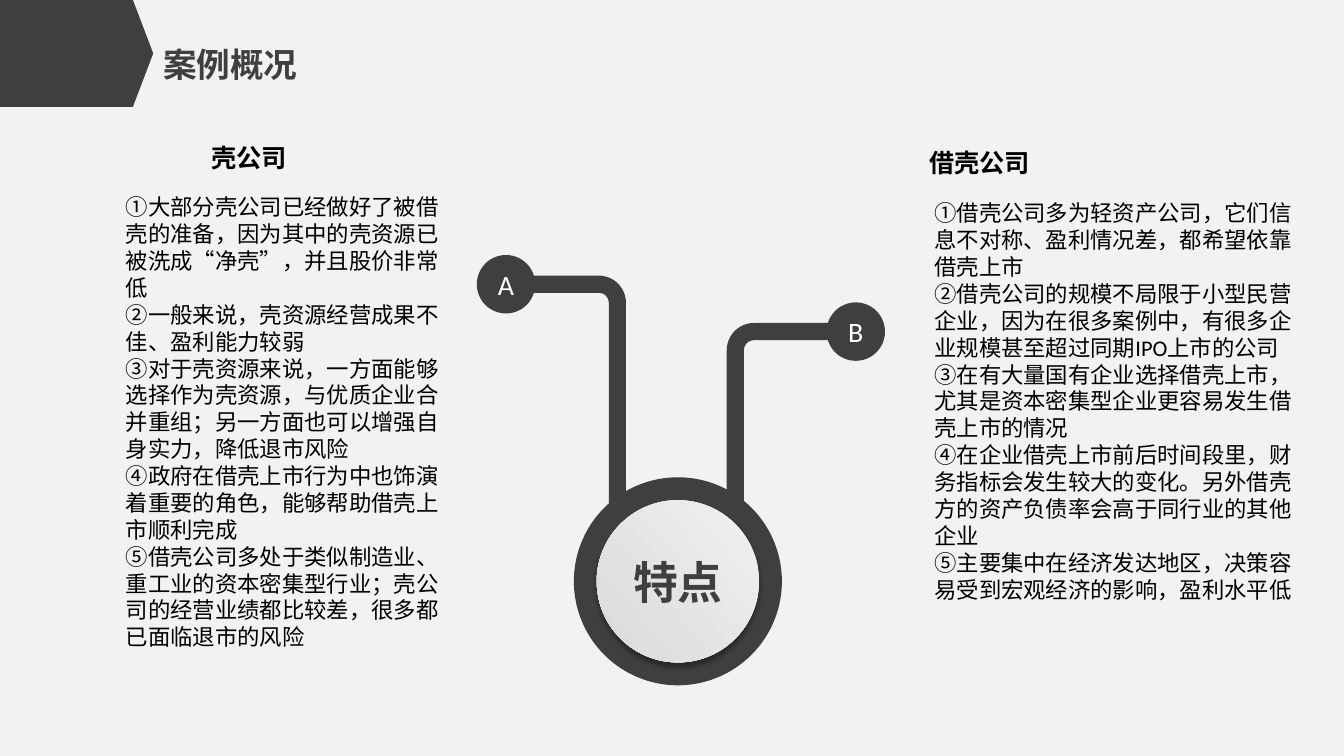
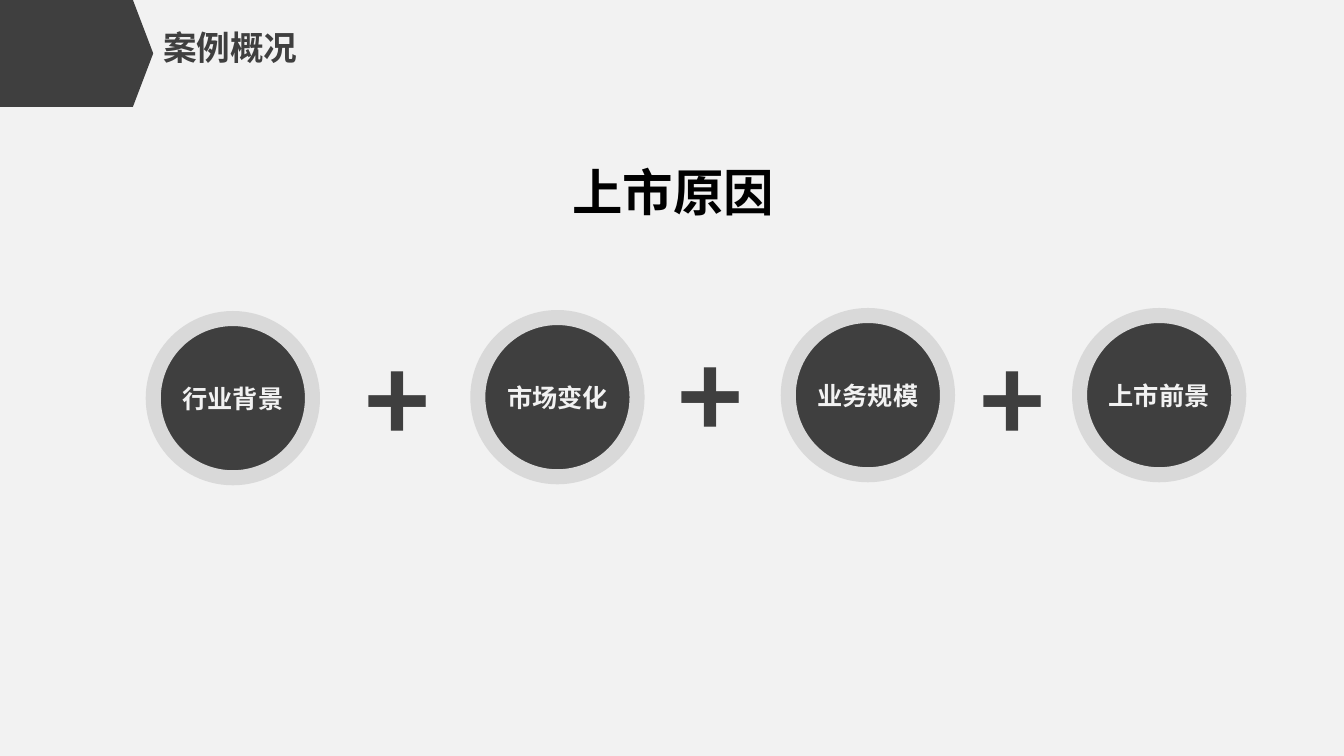
import math
import lxml.etree
import pptx
import pptx.dml.color
import pptx.enum.dml
import pptx.enum.shapes
import pptx.enum.text
import pptx.oxml.ns
import pptx.util

FORM = pptx.enum.shapes.MSO_SHAPE
ALIGN = pptx.enum.text.PP_ALIGN
ANCHOR = pptx.enum.text.MSO_ANCHOR
COLS, ROWS, CELL = 160, 90, 76200

THEME = {
    "dark": "3F3F3F", "back": "F2F2F2", "ring": "D9D9D9",
    "ink": "000000", "white": "FFFFFF",
    "head": "Arial Narrow", "body": "Calibri", "cjk": "Noto Sans CJK SC",
}
STYLES = {
    "title": ("head", 24, True, "dark"),
    "hub": ("head", 32, True, "dark"),
    "node": ("body", 20, False, "white"),
    "name": ("cjk", 18, True, "ink"),
    "body": ("body", 16, False, "ink"),
    "topic": ("body", 36, True, "ink"),
    "cause": ("cjk", 18, True, "back"),
    "plus": ("cjk", 80, True, "dark"),
}
LEAD = 19.2

TITLE = "案例概况"
FIRMS = [
    ("壳公司", (24, 16.32, 11.52, 4.8), (15, 23.04, 39.24, 54.4), [
        "①大部分壳公司已经做好了被借壳的准备，因为其中的壳资源已被洗成“净壳”，并且股价非常低",
        "②一般来说，壳资源经营成果不佳、盈利能力较弱",
        "③对于壳资源来说，一方面能够选择作为壳资源，与优质企业合并重组；另一方面也可以增强自身实力，降低退市风险",
        "④政府在借壳上市行为中也饰演着重要的角色，能够帮助借壳上市顺利完成",
        "⑤借壳公司多处于类似制造业、重工业的资本密集型行业；壳公司的经营业绩都比较差，很多都已面临退市的风险",
    ]),
    ("借壳公司", (109.44, 16.92, 14.52, 4.8), (111.24, 23.76, 44.16, 48), [
        "①借壳公司多为轻资产公司，它们信息不对称、盈利情况差，都希望依靠借壳上市",
        "②借壳公司的规模不局限于小型民营企业，因为在很多案例中，有很多企业规模甚至超过同期IPO上市的公司",
        "③在有大量国有企业选择借壳上市，尤其是资本密集型企业更容易发生借壳上市的情况",
        "④在企业借壳上市前后时间段里，财务指标会发生较大的变化。另外借壳方的资产负债率会高于同行业的其他企业",
        "⑤主要集中在经济发达地区，决策容易受到宏观经济的影响，盈利水平低",
    ]),
]
HUB = ("特点", 80.7, 69.2, 24.6, 19.32)
NODES = [("A", 60.24, 33.84, 74.52), ("B", 101.88, 39.48, 86.52)]
NODE, PIPE, BEND, FOOT = 6.96, 2.05, 3.24, 61.5
TOPIC = "上市原因"
CAUSES = [("行业背景", 27.72, 47.4), ("市场变化", 66.36, 47.28),
          ("业务规模", 103.32, 47.04), ("上市前景", 138, 47.04)]
SIGNS = [(47.28, 47.4), (84.6, 47.04), (120.6, 47.4)]
DISC, RIM = 18.96, 10.75


def rgb(key):
    return pptx.dml.color.RGBColor.from_string(THEME[key])


def emu(*cells):
    return [round(c * CELL) for c in cells]


def apply(item, vals):
    for key, val in vals.items():
        setattr(item, key, val)


def write(shape, lines, style, mid=True, pad=0, wrap=True, lead=None):
    face, size, bold, tone = STYLES[style]
    frame = shape.text_frame
    edge = pptx.util.Inches(pad)
    apply(frame, {
        "word_wrap": wrap,
        "vertical_anchor": ANCHOR.TOP if lead else ANCHOR.MIDDLE,
        "margin_left": edge, "margin_right": edge,
        "margin_top": edge // 2, "margin_bottom": edge // 2,
    })
    frame.text = "\n".join(lines)
    for para in frame.paragraphs:
        para.alignment = ALIGN.CENTER if mid else ALIGN.LEFT
        if lead:
            para.line_spacing = pptx.util.Pt(lead)
        for run in para.runs:
            apply(run.font, {"name": THEME[face], "bold": bold,
                             "size": pptx.util.Pt(size)})
            run.font.color.rgb = rgb(tone)
            east = lxml.etree.SubElement(
                run.font._element, pptx.oxml.ns.qn("a:ea"))
            east.set("typeface", THEME["cjk"])


def label(slide, box, lines, style, **opts):
    write(slide.shapes.add_textbox(*emu(*box)), lines, style, **opts)


def paint(shape, fill="dark", line=None, width=1):
    shape.shadow.inherit = False
    shape.fill.solid()
    shape.fill.fore_color.rgb = rgb(fill)
    if line:
        shape.line.color.rgb = rgb(line)
        shape.line.width = pptx.util.Pt(width)
    else:
        shape.line.fill.background()
    return shape


def disc(slide, x, y, size, **opts):
    box = emu(x - size / 2, y - size / 2, size, size)
    return paint(slide.shapes.add_shape(FORM.OVAL, *box), **opts)


def pipe(slide, start, y, turn):
    side = math.copysign(1, turn - start)
    top = y - PIPE / 2

    def arc(rad, steps):
        return [(turn - side * (BEND - rad * math.sin(a)),
                 top + BEND - rad * math.cos(a))
                for a in (math.pi / 2 * i / 12 for i in steps)]

    pts = [(start, top), *arc(BEND, range(13)),
           (turn, FOOT), (turn - side * PIPE, FOOT),
           *arc(BEND - PIPE, range(12, -1, -1)), (start, top + PIPE)]
    pts = [emu(*p) for p in pts]
    form = slide.shapes.build_freeform(*pts[0], scale=1.0)
    form.add_line_segments(pts[1:], close=True)
    paint(form.convert_to_shape())


def shade(shape):
    fill = shape.fill
    fill.gradient()
    fill.gradient_angle = 220
    for stop, tone in zip(fill.gradient_stops, ("back", "ring")):
        stop.color.rgb = rgb(tone)
    qn = pptx.oxml.ns.qn
    glow = shape._element.spPr.find(qn("a:effectLst"))
    cast = lxml.etree.SubElement(glow, qn("a:outerShdw"), {
        "blurRad": str(pptx.util.Pt(4)), "dist": str(pptx.util.Pt(3)),
        "dir": "5400000", "algn": "t", "rotWithShape": "0"})
    tint = lxml.etree.SubElement(cast, qn("a:srgbClr"), val=THEME["ink"])
    lxml.etree.SubElement(tint, qn("a:alpha"), val="40000")


def start(deck, top):
    slide = deck.slides.add_slide(deck.slide_layouts[6])
    flag = slide.shapes.add_shape(FORM.PENTAGON, *emu(0, 0, 18.24, 12.72))
    flag.adjustments[0] = 0.19
    paint(flag)
    label(slide, (18.24, top, 55.8, 6.24), [TITLE], "title",
          mid=False, pad=0.1)
    return slide


def traits(deck):
    slide = start(deck, 4.56)
    for name, x, y, turn in NODES:
        pipe(slide, x, y, turn)
        write(disc(slide, x, y, NODE), [name], "node")
    word, x, y, outer, inner = HUB
    disc(slide, x, y, outer, line="dark")
    core = disc(slide, x, y, inner)
    shade(core)
    write(core, [word], "hub")
    for name, head, box, lines in FIRMS:
        label(slide, head, [name], "name", mid=False, pad=0.1, wrap=False)
        label(slide, box, lines, "body", mid=False, lead=LEAD)


def causes(deck):
    slide = start(deck, 2.52)
    label(slide, (66.96, 18.48, 27.6, 8.52), [TOPIC], "topic",
          mid=False, pad=0.1)
    for x, y in SIGNS:
        label(slide, (x - 4.44, y - 4.92, 8.88, 9.84), ["+"], "plus")
    for name, x, y in CAUSES:
        ring = disc(slide, x, y, DISC, line="ring", width=RIM)
        write(ring, [name], "cause")


def main():
    deck = pptx.Presentation()
    apply(deck, {"slide_width": COLS * CELL, "slide_height": ROWS * CELL})
    fill = deck.slide_master.background.fill
    fill.solid()
    fill.fore_color.rgb = rgb("back")
    traits(deck)
    causes(deck)
    deck.save("out.pptx")


if __name__ == "__main__":
    main()
